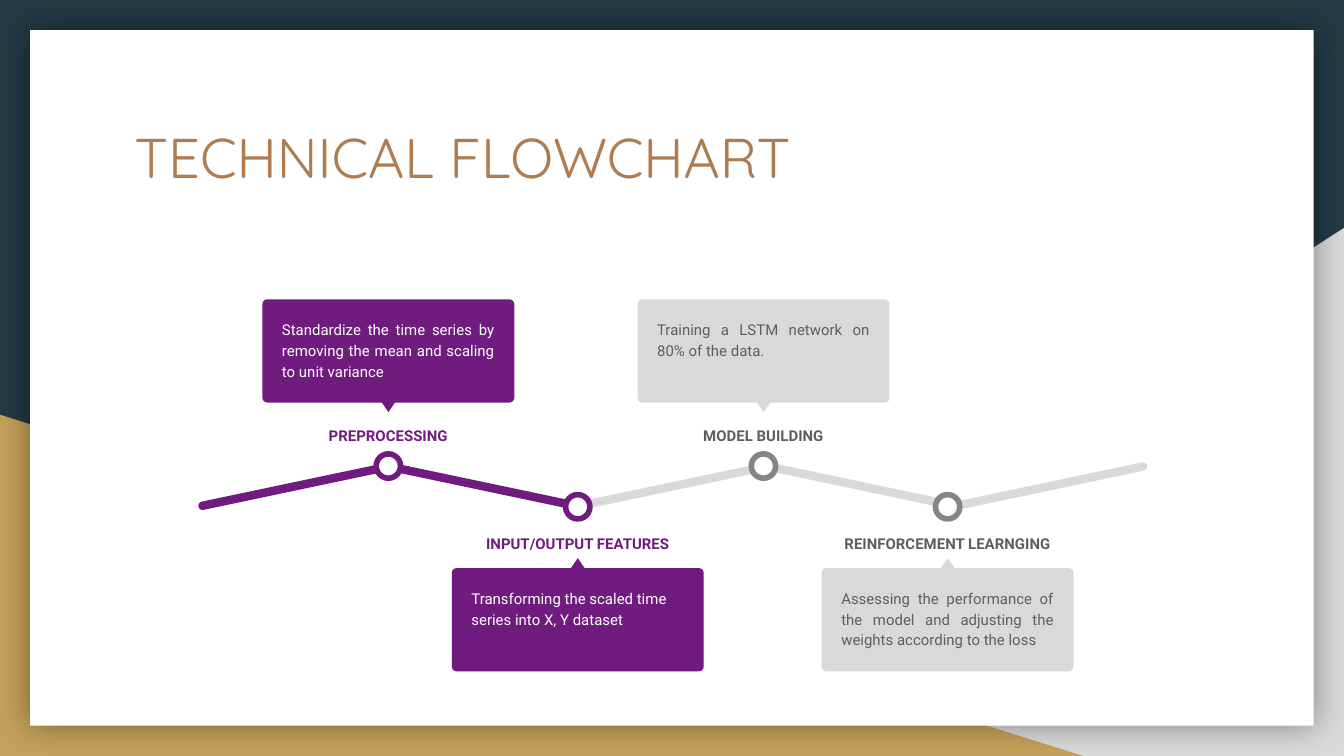
from lxml import etree
from pptx import Presentation
from pptx.dml.color import RGBColor
from pptx.enum.shapes import MSO_SHAPE
from pptx.enum.text import MSO_ANCHOR, MSO_AUTO_SIZE, PP_ALIGN
from pptx.oxml import parse_xml
from pptx.util import Cm, Pt

RECT, ROUND = MSO_SHAPE.RECTANGLE, MSO_SHAPE.ROUNDED_RECTANGLE
OVAL, TRI, WEDGE = MSO_SHAPE.OVAL, MSO_SHAPE.ISOSCELES_TRIANGLE, MSO_SHAPE.RIGHT_TRIANGLE
LEFT, MID, JUST = PP_ALIGN.LEFT, PP_ALIGN.CENTER, PP_ALIGN.JUSTIFY
TOP, FIXED = MSO_ANCHOR.TOP, MSO_AUTO_SIZE.NONE

NAVY, GOLD, WHITE, TAN = "233A44", "C4A15A", "FFFFFF", "AF7B51"
PURPLE, PALE, GREY, DARK = "701C7F", "D9D9D9", "858585", "5E5E5E"

GLOW = (
    '<a:effectLst xmlns:a="http://schemas.openxmlformats.org/drawingml/2006/main">'
    '<a:outerShdw blurRad="228600" dist="0" algn="ctr" rotWithShape="0">'
    '<a:srgbClr val="000000"><a:alpha val="40000"/></a:srgbClr>'
    '</a:outerShdw></a:effectLst>'
)

BARS = [(19.84, -11.9, PALE), (16.28, 11.9, PALE), (12.73, -11.9, PALE),
        (9.12, 11.9, PURPLE), (5.59, -11.9, PURPLE)]

STEPS = [
    (7.34, True, True, 3.23, JUST, "PREPROCESSING",
     "Standardize the time series by removing the mean and scaling to unit variance"),
    (10.92, False, True, 4.04, LEFT, "INPUT/OUTPUT FEATURES",
     "Transforming the scaled time series into X, Y dataset"),
    (14.43, True, False, 3, JUST, "MODEL BUILDING",
     "Training a LSTM network on 80% of the data."),
    (17.91, False, False, 4.52, JUST, "REINFORCEMENT LEARNGING",
     "Assessing the performance of the model and adjusting the weights according to the loss"),
]


def paint(target, color):
    target.solid()
    target.fore_color.rgb = RGBColor.from_string(color)


def add_form(slide, kind, box, color):
    form = slide.shapes.add_shape(kind, *map(Cm, box))
    form.shadow.inherit = False
    paint(form.fill, color)
    form.line.fill.background()
    return form


def set_text(shape, text, size, font, color, align, bold=False):
    frame = shape.text_frame
    frame.word_wrap = True
    frame.auto_size = FIXED
    frame.vertical_anchor = TOP
    frame.margin_left = frame.margin_right = Cm(0.25)
    frame.margin_top = frame.margin_bottom = Cm(0.25)
    par = frame.paragraphs[0]
    par.text = text
    par.alignment = align
    par.font.size = Pt(size)
    par.font.name = font
    par.font.bold = bold
    par.font.color.rgb = RGBColor.from_string(color)
    return par


def add_note(slide, box, text, color, align, bold=False):
    note = slide.shapes.add_textbox(*map(Cm, box))
    par = set_text(note, text, 8, "Roboto", color, align, bold)
    par.line_spacing = 1.15


def add_frame(slide, wide, high):
    paint(slide.background.fill, NAVY)
    right = add_form(slide, WEDGE, (9.96, 4.31, wide - 9.96, high - 4.31), PALE)
    right._element.spPr.xfrm.set("flipH", "1")
    add_form(slide, WEDGE, (0, 7.84, 20.47, high - 7.84), GOLD)
    page = add_form(slide, RECT, (0.57, 0.57, wide - 1.14, high - 1.14), WHITE)
    props = page._element.spPr
    props.replace(props.find("{*}effectLst"), parse_xml(GLOW))


def add_title(slide, box, text):
    title = slide.shapes.title
    title.left, title.top, title.width, title.height = map(Cm, box)
    set_text(title, text, 30, "Quicksand", TAN, LEFT)
    tree = slide.shapes._spTree
    tree.remove(title._element)
    tree.append(title._element)


def add_path(slide, mid):
    wide, high = 3.76, 0.16
    for x, turn, color in BARS:
        bar = add_form(slide, ROUND, (x - wide / 2, mid - high / 2, wide, high), color)
        bar.adjustments[0] = 0.5
        bar.rotation = turn


def add_step(slide, x, above, done, span, align, name, text):
    card_y, tip_y, name_y, node_y = (
        (5.66, 7.6, 7.77, 8.81) if above else (10.74, 10.55, 9.8, 9.58))
    fill, ring, head, body = (
        (PURPLE, PURPLE, PURPLE, WHITE) if done else (PALE, GREY, DARK, DARK))
    card = add_form(slide, ROUND, (x - 2.38, card_y, 4.76, 1.95), fill)
    card.adjustments[0] = 0.045
    tip = add_form(slide, TRI, (x - 0.13, tip_y, 0.26, 0.19), fill)
    tip.rotation = 180 if above else 0
    add_note(slide, (x - 2.26, card_y + 0.11, 4.52, 1.73), text, body, align)
    add_note(slide, (x - span / 2, name_y, span, 0.76), name, head, MID, True)
    node = add_form(slide, OVAL, (x - 0.23, node_y - 0.23, 0.46, 0.46), WHITE)
    paint(node.line.fill, ring)
    node.line.width = Pt(3)


def main():
    deck = Presentation()
    wide, high = 25.4, 14.29
    deck.slide_width, deck.slide_height = Cm(wide), Cm(high)
    slide = deck.slides.add_slide(deck.slide_layouts[5])
    add_frame(slide, wide, high)
    add_title(slide, (2.29, 2.06, 20.85, 2.64), "TECHNICAL FLOWCHART")
    add_path(slide, 9.19)
    for step in STEPS:
        add_step(slide, *step)
    deck.save("out.pptx")


if __name__ == "__main__":
    main()
